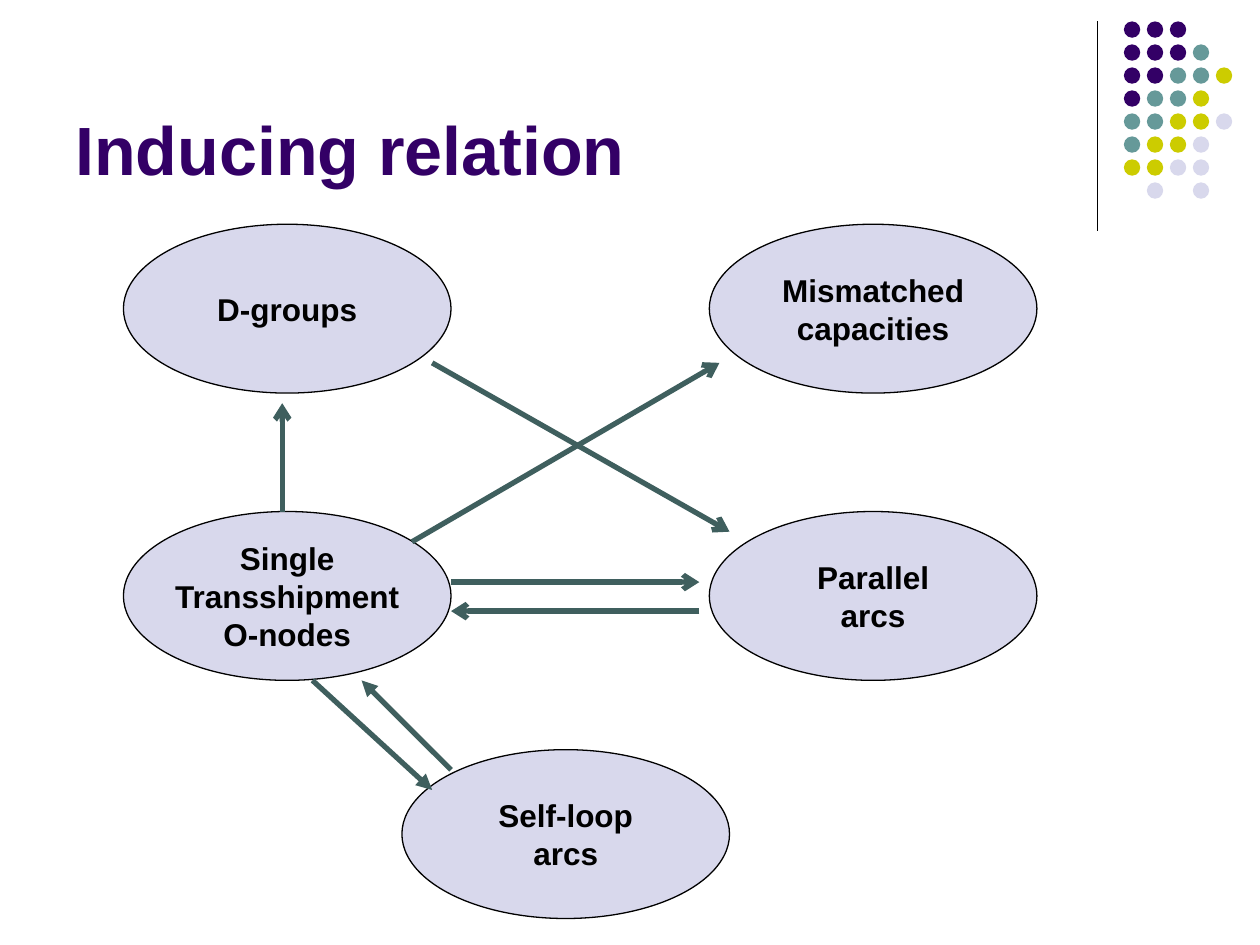
from dataclasses import dataclass

from lxml import etree
from pptx import Presentation
from pptx.dml.color import RGBColor
from pptx.enum import shapes, text
from pptx.oxml import ns
from pptx.util import Inches, Pt


@dataclass(frozen=True)
class Theme:
    font: str = "Arial"
    title_size: int = 39
    label_size: int = 18
    purple: str = "330066"
    teal: str = "669999"
    olive: str = "CCCC00"
    lavender: str = "D8D8EC"
    arrow: str = "3F5F5E"
    black: str = "000000"


def write(frame, content, *, font, size, color, bold=True,
          align=text.PP_ALIGN.LEFT, anchor=text.MSO_ANCHOR.MIDDLE, wrap=True):
    """Fill a text frame, one paragraph per line of content."""
    frame.word_wrap = wrap
    frame.vertical_anchor = anchor
    for index, line in enumerate(content.split("\n")):
        para = frame.add_paragraph() if index else frame.paragraphs[0]
        para.alignment = align
        span = para.add_run()
        span.text = line
        span.font.name = font
        span.font.size = Pt(size)
        span.font.bold = bold
        span.font.color.rgb = RGBColor.from_string(color)


class Board:
    def __init__(self, page, theme):
        self.page = page
        self.theme = theme

    def title(self, content, left, top, width, height):
        box = self.page.shapes.add_textbox(
            Inches(left), Inches(top), Inches(width), Inches(height))
        write(box.text_frame, content, font=self.theme.font,
              size=self.theme.title_size, color=self.theme.purple,
              anchor=text.MSO_ANCHOR.BOTTOM)

    def ellipse(self, left, top, width, height, fill):
        oval = self.page.shapes.add_shape(
            shapes.MSO_SHAPE.OVAL,
            Inches(left), Inches(top), Inches(width), Inches(height))
        oval.shadow.inherit = False
        oval.fill.solid()
        oval.fill.fore_color.rgb = RGBColor.from_string(fill)
        oval.line.fill.background()
        return oval

    def node(self, content, left, top):
        oval = self.ellipse(left, top, 2.6, 1.34, self.theme.lavender)
        oval.line.color.rgb = RGBColor.from_string(self.theme.black)
        oval.line.width = Pt(0.75)
        write(oval.text_frame, content, font=self.theme.font,
              size=self.theme.label_size, color=self.theme.black,
              align=text.PP_ALIGN.CENTER, wrap=False)

    def line(self, start, end, color, width, tip=None):
        connector = self.page.shapes.add_connector(
            shapes.MSO_CONNECTOR.STRAIGHT,
            *(Inches(value) for value in (*start, *end)))
        connector.line.color.rgb = RGBColor.from_string(color)
        connector.line.width = Pt(width)
        if tip:
            outline = connector.line._get_or_add_ln()
            etree.SubElement(outline, ns.qn("a:tailEnd"), type=tip)
        etree.SubElement(connector._element.spPr, ns.qn("a:effectLst"))

    def dots(self, rows, left, top, pitch, size):
        """Draw a dot grid; each letter picks a colour, a space leaves a gap."""
        colors = {"p": self.theme.purple, "t": self.theme.teal,
                  "o": self.theme.olive, "l": self.theme.lavender}
        for row, letters in enumerate(rows):
            for column, letter in enumerate(letters):
                if letter in colors:
                    self.ellipse(left + column * pitch, top + row * pitch,
                                 size, size, colors[letter])


DOT_ROWS = ["ppp", "pppt", "pptto", "ptto", "ttool", "tool", "ooll", " l l"]

LEFT, RIGHT = 0.98, 5.63
UPPER, MIDDLE = 1.78, 4.06
NODES = [
    ("D-groups", LEFT, UPPER),
    ("Single\nTransshipment\nO-nodes", LEFT, MIDDLE),
    ("Mismatched\ncapacities", RIGHT, UPPER),
    ("Parallel\narcs", RIGHT, MIDDLE),
    ("Self-loop\narcs", 3.19, 5.95),
]

ARROWS = [
    ((2.24, 4.06), (2.24, 3.2), "arrow"),
    ((3.58, 4.62), (5.55, 4.62), "arrow"),
    ((5.55, 4.85), (3.58, 4.85), "arrow"),
    ((3.43, 2.88), (5.79, 4.22), "arrow"),
    ((3.27, 4.3), (5.71, 2.88), "arrow"),
    ((2.48, 5.4), (3.43, 6.27), "triangle"),
    ((3.58, 6.11), (2.87, 5.4), "triangle"),
]


def main():
    deck = Presentation()
    deck.slide_width, deck.slide_height = Inches(10), Inches(7.5)
    theme = Theme()
    board = Board(deck.slides.add_slide(deck.slide_layouts[6]), theme)

    board.line((8.71, 0.17), (8.71, 1.83), theme.black, 0.75)
    board.dots(DOT_ROWS, left=8.92, top=0.17, pitch=0.73 / 4, size=0.13)
    board.title("Inducing relation", 0.5, 0.13, 8.25, 1.42)
    for content, left, top in NODES:
        board.node(content, left, top)
    for start, end, tip in ARROWS:
        board.line(start, end, theme.arrow, 3, tip)

    deck.save("out.pptx")


if __name__ == "__main__":
    main()
